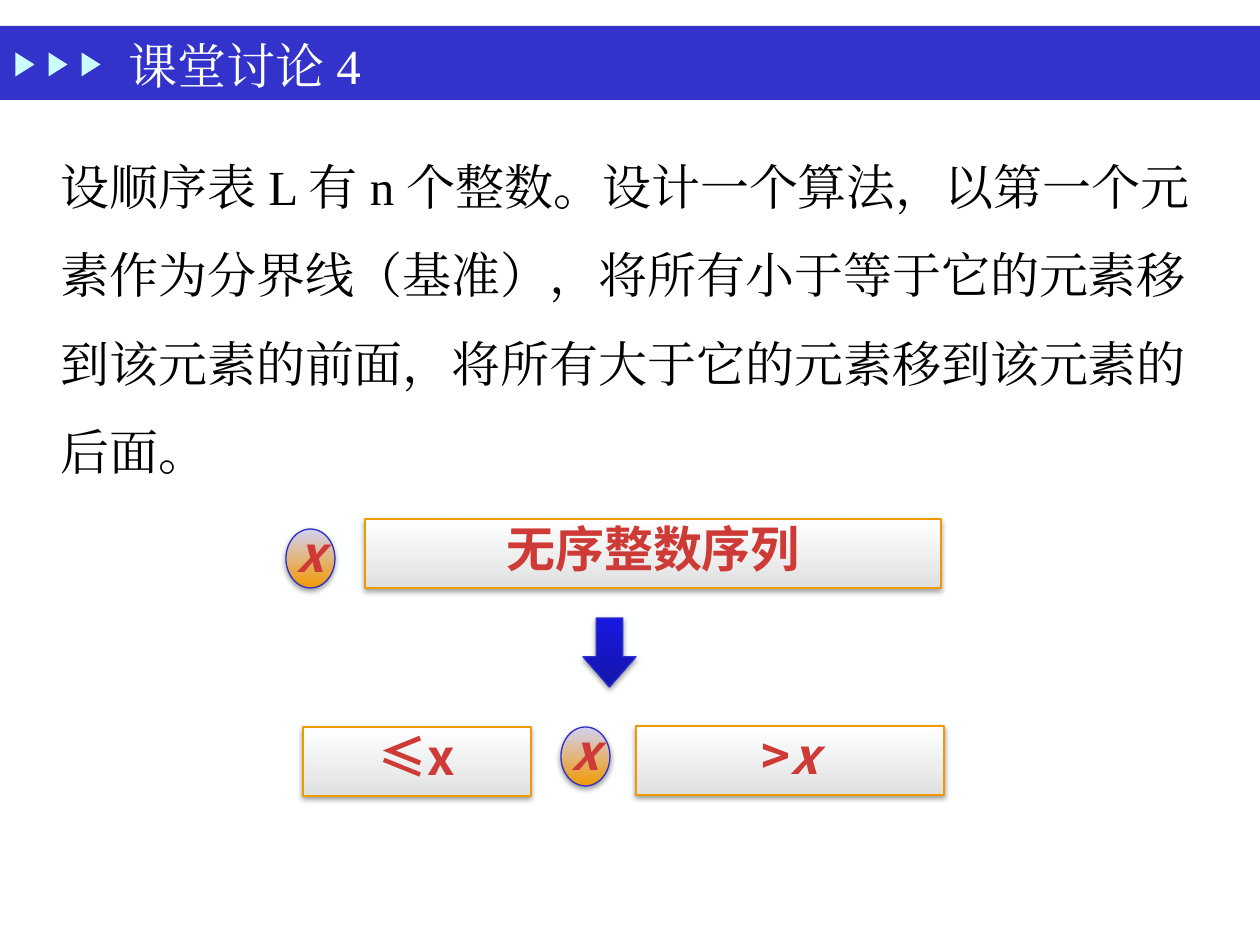
from lxml.etree import SubElement
from pptx import Presentation
from pptx.dml.color import RGBColor
from pptx.enum.shapes import MSO_SHAPE
from pptx.enum.text import MSO_ANCHOR, PP_ALIGN
from pptx.oxml.ns import qn
from pptx.util import Pt

PX = 914400 / 126
SERIF, SANS = "Times New Roman", "Noto Sans CJK SC"
BLUE, OUTLINE, ORANGE, RED = "3333CC", "2E2ECB", "F19903", "CE3B37"


def px(length):
    return round(length * PX)


def rgb(color):
    return RGBColor.from_string(color)


def format_run(run, face, color, bold=False, italic=False):
    run.font.size = Pt(28)
    run.font.name = face
    run.font.bold = bold
    run.font.italic = italic
    run.font.color.rgb = rgb(color)
    SubElement(run._r.get_or_add_rPr(), qn("a:ea"), typeface=face)


def add_preset(slide, preset, box):
    shape = slide.shapes.add_shape(preset, *map(px, box))
    shape.shadow.inherit = False
    return shape


def add_flat(slide, preset, box, color):
    shape = add_preset(slide, preset, box)
    shape.fill.solid()
    shape.fill.fore_color.rgb = rgb(color)
    shape.line.fill.background()
    return shape


def add_raised(slide, preset, box, top, bottom, outline):
    """Shape with a vertical gradient, a thin outline and a soft shadow below."""
    shape = add_preset(slide, preset, box)
    shape.fill.gradient()
    shape.fill.gradient_angle = 270
    for stop, color in zip(shape.fill.gradient_stops, (top, bottom)):
        stop.color.rgb = rgb(color)
    shape.line.color.rgb = rgb(outline)
    shape.line.width = Pt(0.75)
    effects = shape._element.spPr.find(qn("a:effectLst"))
    shadow = SubElement(effects, qn("a:outerShdw"), blurRad=str(Pt(3.1)),
                        dist=str(Pt(1.6)), dir="5400000", rotWithShape="0")
    black = SubElement(shadow, qn("a:srgbClr"), val="000000")
    SubElement(black, qn("a:alpha"), val="38000")
    return shape


def add_label(shape, parts):
    """Centre red text in a shape; parts are (text, italic) pairs."""
    frame = shape.text_frame
    frame.word_wrap = False
    frame.vertical_anchor = MSO_ANCHOR.MIDDLE
    paragraph = frame.paragraphs[0]
    paragraph.alignment = PP_ALIGN.CENTER
    paragraph.line_spacing = 0.8
    for text, italic in parts:
        run = paragraph.add_run()
        run.text = text
        format_run(run, SANS, RED, bold=True, italic=italic)


def add_pivot(slide, left, top):
    pivot = add_raised(slide, MSO_SHAPE.OVAL, (left, top, 49, 59),
                       "D2D2F4", ORANGE, OUTLINE)
    add_label(pivot, [("x", True)])


def add_sequence(slide, left, top, width, parts):
    sequence = add_raised(slide, MSO_SHAPE.RECTANGLE, (left, top, width, 69),
                          "FFFFFF", "DFE1E0", ORANGE)
    add_label(sequence, parts)


def add_plain_text(slide, box, text, color):
    frame = slide.shapes.add_textbox(*map(px, box)).text_frame
    frame.word_wrap = True
    frame.text = text
    format_run(frame.paragraphs[0].runs[0], SERIF, color)
    return frame


def add_header(slide, left, top, width, height):
    add_flat(slide, MSO_SHAPE.RECTANGLE, (left, top, width, height), BLUE)
    for i in range(3):
        marker = add_flat(slide, MSO_SHAPE.ISOSCELES_TRIANGLE,
                          (left + 13 + 33 * i, top + 29, 24, 19), "CBFFFF")
        marker.rotation = 90
    title = add_plain_text(slide, (left + 116, top + 7, 882, 63),
                           "课堂讨论 4", "FEFFFF")
    title.vertical_anchor = MSO_ANCHOR.MIDDLE


def add_question(slide, *box):
    question = add_plain_text(
        slide, box,
        "设顺序表 L 有 n 个整数。设计一个算法，以第一个元素作为分界线（基准），"
        "将所有小于等于它的元素移到该元素的前面，将所有大于它的元素移到该元素的后面。",
        "000000")
    question.paragraphs[0].line_spacing = 1.5


def add_partition(slide, left, top):
    """Unordered sequence above, an arrow, and the partitioned result below."""
    add_pivot(slide, left, top + 10)
    add_sequence(slide, left + 79, top, 576, [("无序整数序列", False)])

    arrow = add_raised(slide, MSO_SHAPE.DOWN_ARROW,
                       (left + 297, top + 99, 53, 69),
                       "1818E1", "1515A9", OUTLINE)
    arrow.adjustments[0] = 0.5
    arrow.adjustments[1] = 0.57

    add_sequence(slide, left + 17, top + 208, 228, [("≤x", False)])
    add_pivot(slide, left + 275, top + 208)
    add_sequence(slide, left + 350, top + 207, 308, [(">", False), ("x", True)])


def main():
    presentation = Presentation()
    presentation.slide_width = px(1260)
    presentation.slide_height = px(945)
    slide = presentation.slides.add_slide(presentation.slide_layouts[6])
    slide.background.fill.solid()
    slide.background.fill.fore_color.rgb = rgb("FEFFFF")
    add_header(slide, 0, 26, 1260, 74)
    add_question(slide, 48, 121, 1166, 370)
    add_partition(slide, 286, 519)
    presentation.save("out.pptx")


if __name__ == "__main__":
    main()
